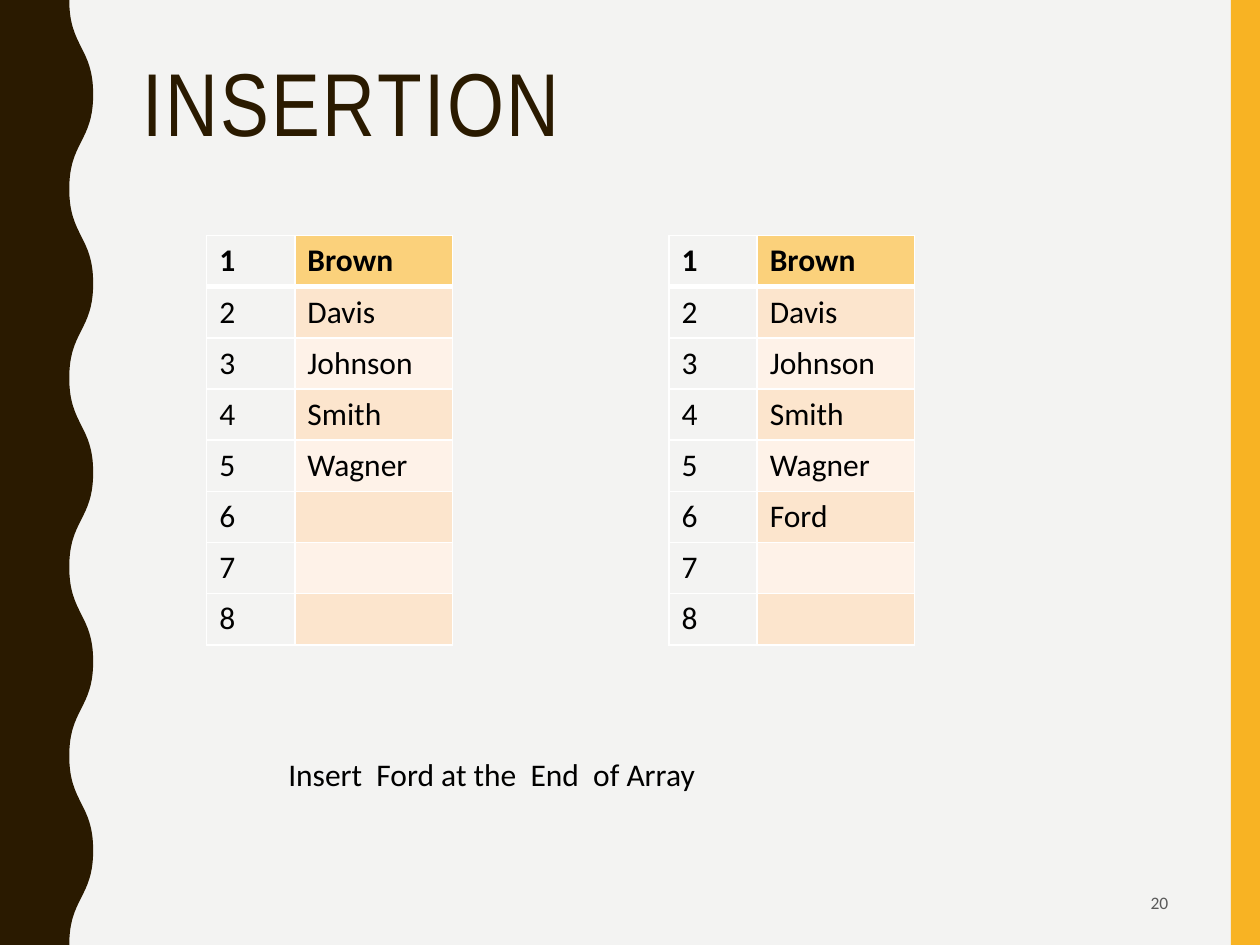
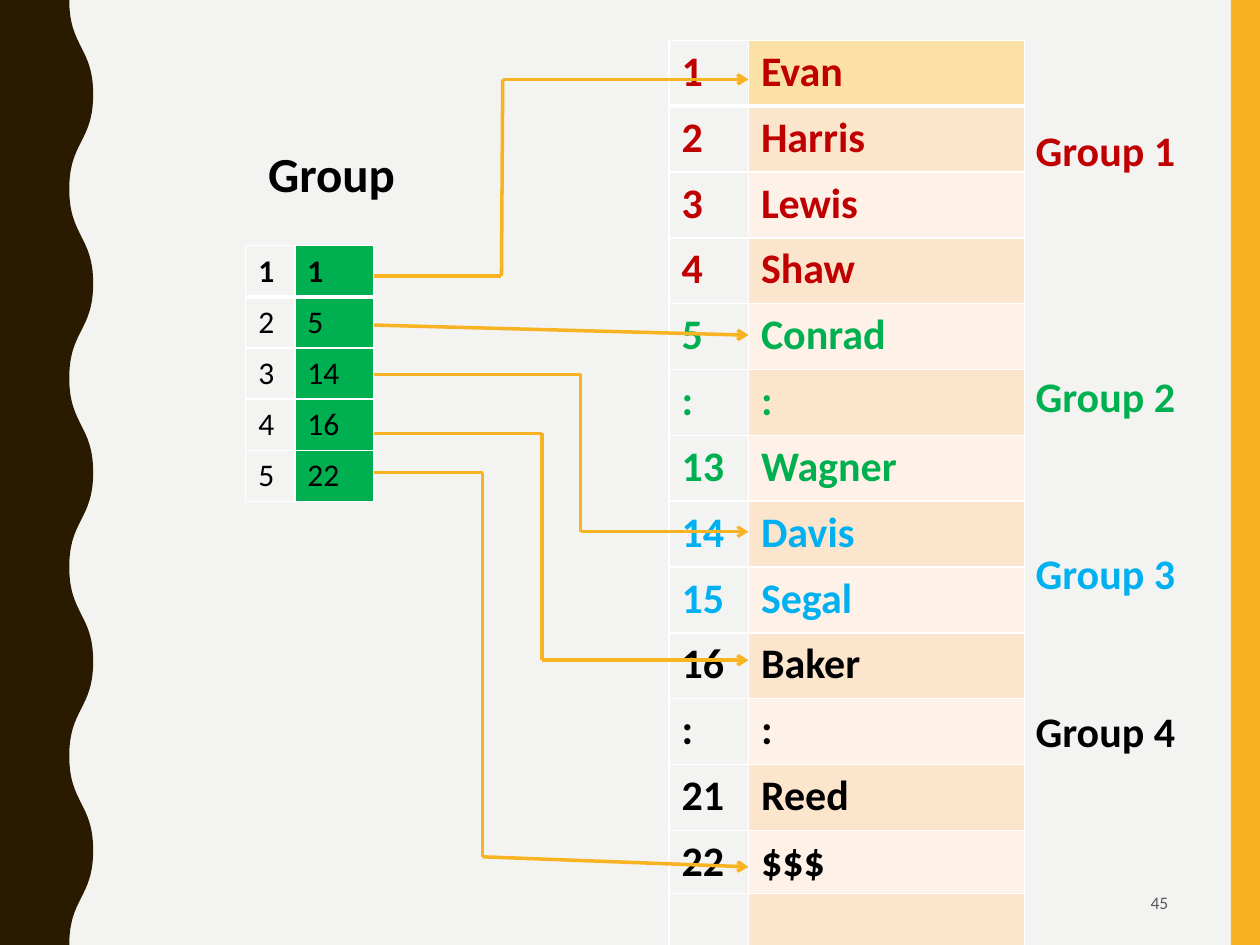
from pptx import Presentation
from pptx.dml.color import RGBColor
from pptx.enum.shapes import MSO_CONNECTOR, MSO_SHAPE
from pptx.enum.text import MSO_ANCHOR, PP_ALIGN
from pptx.oxml.ns import qn
from pptx.util import Inches, Pt
from lxml import etree

BROWN = RGBColor(0x2A, 0x1A, 0x00)
GOLD = RGBColor(0xF8, 0xB3, 0x23)
PAPER = RGBColor(0xF3, 0xF3, 0xF2)
BLACK = RGBColor(0x00, 0x00, 0x00)
GREY = RGBColor(0x59, 0x59, 0x59)
RED = RGBColor(0xC0, 0x00, 0x00)
GREEN = RGBColor(0x00, 0xB0, 0x50)
BLUE = RGBColor(0x00, 0xB0, 0xF0)
HEAD = RGBColor(0xFB, 0xD1, 0x7B)
PALE_HEAD = RGBColor(0xFC, 0xE1, 0xA7)
BANDS = [RGBColor(0xFE, 0xF2, 0xE8), RGBColor(0xFC, 0xE5, 0xCD)]

LEFT, RIGHT = PP_ALIGN.LEFT, PP_ALIGN.RIGHT
TOP, MIDDLE = MSO_ANCHOR.TOP, MSO_ANCHOR.MIDDLE
STRAIGHT = MSO_CONNECTOR.STRAIGHT
RECTANGLE = MSO_SHAPE.RECTANGLE
TITLE_FONT, BODY_FONT = "Arial Narrow", "Calibri"


def write(tf, text, size=18, color=BLACK, bold=False, font=BODY_FONT,
          align=LEFT, anchor=TOP, line_spacing=None, tracking=None):
    """Put one formatted run into a text frame."""
    tf.word_wrap = True
    tf.vertical_anchor = anchor
    p = tf.paragraphs[0]
    p.alignment = align
    p.line_spacing = line_spacing
    r = p.add_run()
    r.text = text
    r.font.size = Pt(size)
    r.font.name = font
    r.font.bold = bold
    r.font.color.rgb = color
    if tracking:
        r.font._element.set("spc", str(int(tracking * 100)))


def add_list(s, left, top, widths, heights, rows, fills):
    """Add a two-column table; each row is (number, value, text format)."""
    frame = s.shapes.add_table(len(rows), 2, Inches(left), Inches(top),
                               Inches(sum(widths)), Inches(sum(heights)))
    table = frame.table
    table.first_row = table.horz_banding = False
    for col, width in zip(table.columns, widths):
        col.width = Inches(width)
    for i, (number, value, fmt) in enumerate(rows):
        table.rows[i].height = Inches(heights[i])
        for j, text in enumerate((number, value)):
            cell = table.cell(i, j)
            tcPr = cell._tc.get_or_add_tcPr()
            for side in "LRTB":
                heavy = (side == "B" and i == 0) or (side == "T" and i == 1)
                ln = etree.SubElement(tcPr, qn("a:ln" + side),
                                      w=str(Pt(3 if heavy else 1)))
                solid = etree.SubElement(ln, qn("a:solidFill"))
                etree.SubElement(solid, qn("a:srgbClr"), val="FFFFFF")
            if j == 0:
                cell.fill.background()
            else:
                cell.fill.solid()
                cell.fill.fore_color.rgb = fills[i]
            if text:
                write(cell.text_frame, text, **fmt)


prs = Presentation()
prs.slide_width, prs.slide_height = Inches(10), Inches(7.5)

# Wavy left edge in thousandths of an inch: ten half waves between two depths
INNER, OUTER, HALF_WAVE = 550, 740, 750
wave = [((INNER, OUTER)[n % 2], n * HALF_WAVE) for n in range(11)]

# Shared background, bands and page number
slides = []
for number in ("20", "45"):
    s = prs.slides.add_slide(prs.slide_layouts[6])
    s.background.fill.solid()
    s.background.fill.fore_color.rgb = PAPER
    bar = s.shapes.add_shape(RECTANGLE, Inches(9.77), 0, Inches(0.23), Inches(7.5))
    builder = s.shapes.build_freeform(*wave[0], scale=Inches(1) / 1000)
    builder.add_line_segments(wave[1:] + [(0, 7500), (0, 0)], close=True)
    edge = builder.convert_to_shape()
    # Bend each half wave: both control points lie at its mid height
    segments = list(edge._element.iter(qn("a:lnTo")))
    for segment, (x0, y0), (x1, y1) in zip(segments, wave, wave[1:]):
        curve = etree.Element(qn("a:cubicBezTo"))
        middle = (y0 + y1) // 2
        for x, y in ((x0, middle), (x1, middle), (x1, y1)):
            etree.SubElement(curve, qn("a:pt"), x=str(x), y=str(y))
        segment.getparent().replace(segment, curve)
    for sp, color in ((bar, GOLD), (edge, BROWN)):
        sp.shadow.inherit = False
        sp.fill.solid()
        sp.fill.fore_color.rgb = color
        sp.line.fill.background()
    slides.append((s, number))
(insertion, _), (groups, _) = slides

# Slide 1: the array before and after the insertion
names = ["Brown", "Davis", "Johnson", "Smith", "Wagner"]
for left, sixth in ((1.64, ""), (5.31, "Ford")):
    rows = [(str(i + 1), name, {"bold": i == 0})
            for i, name in enumerate(names + [sixth, "", ""])]
    fills = [HEAD] + [BANDS[i % 2] for i in range(1, 8)]
    add_list(insertion, left, 1.87, (0.7, 1.25), [3.25 / 8] * 8, rows, fills)

# Slide 2: the records, coloured by group, and the index of group starts
records = [
    (RED, [("1", "Evan"), ("2", "Harris"), ("3", "Lewis"), ("4", "Shaw")]),
    (GREEN, [("5", "Conrad"), (":", ":"), ("13", "Wagner")]),
    (BLUE, [("14", "Davis"), ("15", "Segal")]),
    (BLACK, [("16", "Baker"), (":", ":"), ("21", "Reed"), ("22", "$$$"), ("", "")]),
]
rows = [(number, name, {"size": 24, "bold": True, "color": color})
        for color, members in records for number, name in members]
fills = [PALE_HEAD] + [BANDS[i % 2] for i in range(1, 14)]
add_list(groups, 5.31, 0.32, (0.63, 2.19), [6.27 / 12] * 12 + [0.46] * 2, rows, fills)

starts = ["1", "5", "14", "16", "22"]
rows = [(str(i + 1), start, {"bold": i == 0}) for i, start in enumerate(starts)]
add_list(groups, 1.95, 1.95, (0.39, 0.63), [2.03 / 5] * 5, rows, [GREEN] * 5)

# Pointers from the index to the first record of each group
INDEX_X, RECORD_X = 2.97, 5.94
pointers = [
    (2, [(INDEX_X, 2.19), (3.98, 2.19), (3.99, 0.63), (RECORD_X, 0.63)]),
    (2, [(INDEX_X, 2.58), (RECORD_X, 2.66)]),
    (1.75, [(INDEX_X, 2.97), (4.61, 2.97), (4.61, 4.22), (RECORD_X, 4.22)]),
    (2, [(INDEX_X, 3.44), (4.3, 3.44), (4.3, 5.24), (RECORD_X, 5.24)]),
    (2, [(INDEX_X, 3.75), (3.83, 3.75), (3.83, 6.8), (RECORD_X, 6.88)]),
]
for width, points in pointers:
    for (x0, y0), (x1, y1) in zip(points, points[1:]):
        line = groups.shapes.add_connector(STRAIGHT, Inches(x0), Inches(y0),
                                           Inches(x1), Inches(y1))
        line.line.color.rgb = GOLD
        line.line.width = Pt(width)
        etree.SubElement(line._element.spPr, qn("a:effectLst"))
        if x1 == RECORD_X:
            etree.SubElement(line.line._get_or_add_ln(), qn("a:tailEnd"), type="arrow")

# Text boxes on both slides
labels = [
    (insertion, (1.03, 0.42, 8.35, 1.63), "INSERTION",
     {"size": 51, "color": BROWN, "font": TITLE_FONT, "line_spacing": 0.9,
      "tracking": 1.5}),
    (insertion, (2.19, 5.94, 5.63, 0.4), "Insert  Ford at the  End  of Array", {}),
    (groups, (2.03, 1.09, 1.48, 0.57), "Group", {"size": 28, "bold": True}),
]
for i, ((color, _), top) in enumerate(zip(records, (0.94, 2.89, 4.3, 5.55))):
    labels.append((groups, (8.12, top, 1.88, 0.5), f"Group {i + 1}",
                   {"size": 24, "bold": True, "color": color}))
for s, number in slides:
    labels.append((s, (7.06, 6.97, 2.31, 0.38), number,
                   {"size": 10, "color": GREY, "align": RIGHT, "anchor": MIDDLE}))
for s, box, text, fmt in labels:
    tb = s.shapes.add_textbox(*[Inches(v) for v in box])
    write(tb.text_frame, text, **fmt)

prs.save("out.pptx")
